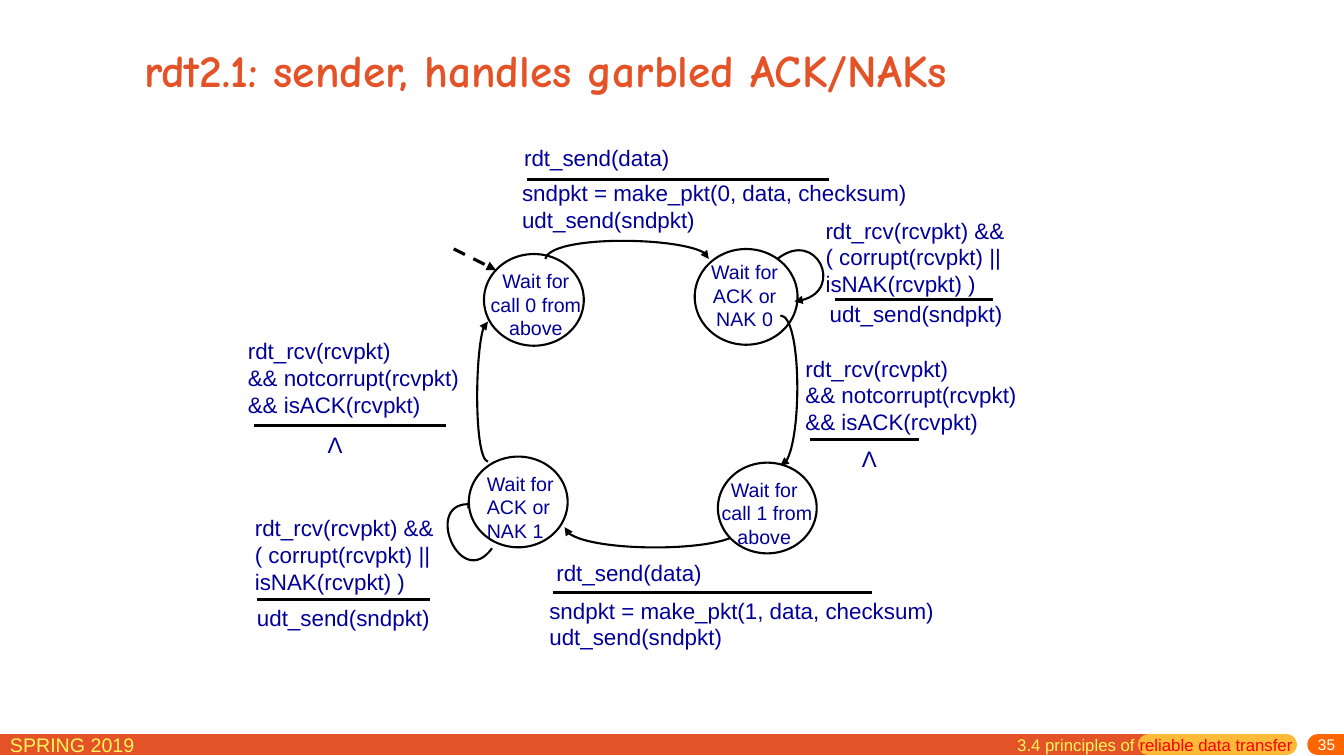
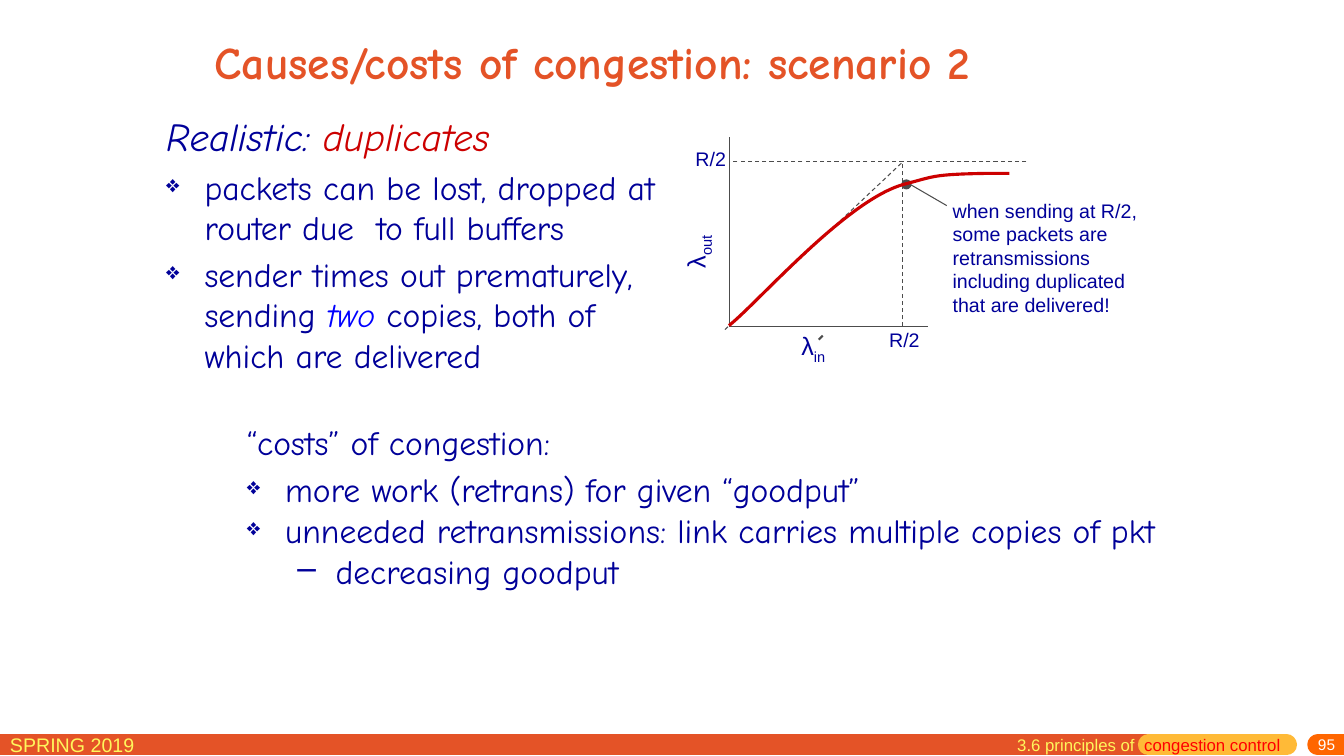
from pptx import Presentation
from pptx.dml.color import RGBColor
from pptx.enum.dml import MSO_LINE
from pptx.enum.shapes import MSO_CONNECTOR, MSO_SHAPE
from pptx.enum.text import MSO_ANCHOR, MSO_AUTO_SIZE, PP_ALIGN
from pptx.oxml.ns import qn
from pptx.oxml.xmlchemy import OxmlElement
from pptx.util import Inches, Pt

STRAIGHT = MSO_CONNECTOR.STRAIGHT
OVAL = MSO_SHAPE.OVAL
DASH = MSO_LINE.DASH
LEFT, CENTER, RIGHT = PP_ALIGN.LEFT, PP_ALIGN.CENTER, PP_ALIGN.RIGHT
MIDDLE = MSO_ANCHOR.MIDDLE
NO_AUTOFIT = MSO_AUTO_SIZE.NONE

BODY_FONT, HAND_FONT = "Arial", "Comic Neue"
ORANGE, AMBER, DEEP_ORANGE = "E45327", "FFBA37", "FF6600"
YELLOW, RED, CRIMSON = "FFF65C", "FF0000", "CC0000"
NAVY, BLUE, GRAY = "000099", "0000FF", "4C4C4C"
BLACK, WHITE = "000000", "FFFFFF"
BAND_Y = 7.39
TITLE_ONLY = 5

ACKED = ["rdt_rcv(rcvpkt)", "&& notcorrupt(rcvpkt)", "&& isACK(rcvpkt)"]
GARBLED = ["rdt_rcv(rcvpkt) &&", "( corrupt(rcvpkt) ||", "isNAK(rcvpkt) )"]
SEND_AGAIN = ["udt_send(sndpkt)"]
SEND_DATA = ["rdt_send(data)"]
NOTHING = ["Λ"]


def rgb(color):
    return RGBColor.from_string(color)


def style_font(font, size=None, color=None, name=None, bold=None, italic=None):
    if size:
        font.size = Pt(size)
    if color:
        font.color.rgb = rgb(color)
    if name:
        font.name = name
    if bold is not None:
        font.bold = bold
    if italic is not None:
        font.italic = italic


def add_child(parent, tag, **attributes):
    child = OxmlElement(tag)
    for key, value in attributes.items():
        child.set(key, value)
    parent.append(child)
    return child


def style_line(shape, color, width, dash=False, arrow=False, cap=None):
    shape.line.color.rgb = rgb(color)
    shape.line.width = Pt(width)
    if dash:
        shape.line.dash_style = DASH
    outline = shape._element.spPr.find(qn("a:ln"))
    if cap:
        outline.set("cap", cap)
    if arrow:
        add_child(outline, "a:tailEnd", type="triangle")


def add_line(page, start, end, color=BLACK, width=2.25, **options):
    line = page.shapes.add_connector(
        STRAIGHT, *[Inches(value) for value in (*start, *end)])
    style_line(line, color, width, **options)
    add_child(line._element.spPr, "a:effectLst")


def add_curve(page, points, color=BLACK, width=1.5, arrow=False):
    places = [(Inches(x), Inches(y)) for x, y in points]
    builder = page.shapes.build_freeform(*places[0])
    builder.add_line_segments(places[1:], close=False)
    curve = builder.convert_to_shape()
    outline = curve._element.spPr.find(".//" + qn("a:path"))
    segments = outline.findall(qn("a:lnTo"))
    for first in range(0, len(segments), 3):
        bezier = add_child(outline, "a:cubicBezTo")
        for segment in segments[first:first + 3]:
            bezier.append(segment[0])
            outline.remove(segment)
    curve.fill.background()
    curve.shadow.inherit = False
    style_line(curve, color, width, arrow=arrow)


def add_oval(page, place, fill, outlined=True):
    oval = page.shapes.add_shape(OVAL, *[Inches(value) for value in place])
    oval.fill.solid()
    oval.fill.fore_color.rgb = rgb(fill)
    oval.shadow.inherit = False
    if outlined:
        style_line(oval, BLACK, 1.5)
    else:
        oval.line.fill.background()


def add_box(page, place, wrap=True):
    box = page.shapes.add_textbox(*[Inches(value) for value in place])
    box.text_frame.word_wrap = wrap
    return box


def fill_paragraph(para, spans, size, color=NAVY, name=BODY_FONT, align=LEFT):
    para.alignment = align
    style_font(para.font, size, color, name)
    for text, changes in spans:
        span = para.add_run()
        span.text = text
        style_font(span.font, **changes)


def add_text(page, place, lines, size=16, color=NAVY, align=LEFT, wrap=True):
    box = add_box(page, place, wrap)
    frame = box.text_frame
    for index, line in enumerate(lines):
        para = frame.add_paragraph() if index else frame.paragraphs[0]
        fill_paragraph(para, [(line, {})], size, color, align=align)
    return box


def add_symbol(page, place, subscript):
    box = add_box(page, place, wrap=False)
    para = box.text_frame.paragraphs[0]
    fill_paragraph(para, [("λ", {}), (subscript, {})], 18)
    para.runs[1].font._element.set("baseline", "-25000")
    return box


def set_bullet(para, mark, percent, level):
    properties = para._p.get_or_add_pPr()
    properties.set("marL", str(Inches(0.38 + 0.5 * level)))
    properties.set("indent", str(Inches(-0.38)))
    color = add_child(properties, "a:buClr")
    add_child(color, "a:srgbClr", val=NAVY)
    add_child(properties, "a:buSzPct", val=str(percent * 1000))
    add_child(properties, "a:buChar", char=mark)


def add_outline(page, place, items):
    frame = add_box(page, place).text_frame
    for index, (mark, spacing, spans) in enumerate(items):
        para = frame.add_paragraph() if index else frame.paragraphs[0]
        if mark == "❖":
            set_bullet(para, mark, 70, 0)
        elif mark:
            para.level = 1
            set_bullet(para, mark, 100, 1)
        para.line_spacing = spacing
        if index:
            para.space_before = Pt(4.8)
        fill_paragraph(para, spans, 24, name=HAND_FONT)


def add_page(deck, title, place, number, topic, subject):
    page = deck.slides.add_slide(deck.slide_layouts[TITLE_ONLY])
    heading = page.shapes.title
    heading.left, heading.top, heading.width, heading.height = [
        Inches(value) for value in place]
    heading.text_frame.text = title
    heading.text_frame.auto_size = NO_AUTOFIT
    heading.text_frame.vertical_anchor = MIDDLE
    para = heading.text_frame.paragraphs[0]
    para.alignment = LEFT
    style_font(para.font, 32.4, ORANGE, HAND_FONT, bold=True)

    for left, right, color, cap in [
        (0, 11.39, ORANGE, "flat"),
        (11.39, 12.76, AMBER, "rnd"),
        (13.07, 13.33, DEEP_ORANGE, "rnd"),
    ]:
        add_line(page, (left, BAND_Y), (right, BAND_Y), color, 15, cap=cap)
    add_text(page, (0, 7.22, 2.29, 0.31), ["SPRING 2019"], 14, YELLOW)
    box = add_text(page, (10.75, 7.32, 2.59, 0.18), [number], 11, WHITE, RIGHT)
    box.text_frame.vertical_anchor = MIDDLE
    box.text_frame.margin_top = 0
    section = add_box(page, (9.99, 7.24, 3.11, 0.31))
    spans = [(topic, {}), (subject, {"color": RED})]
    fill_paragraph(section.text_frame.paragraphs[0], spans, 12, YELLOW)
    return page


def add_state(page, oval, place, lines, align=CENTER):
    add_oval(page, oval, WHITE)
    add_text(page, place, lines, 14, align=align)


def add_rule(page, left, right, y):
    add_line(page, (left, y), (right, y))


def build_sender(deck):
    page = add_page(
        deck, "rdt2.1: sender, handles garbled ACK/NAKs",
        (1.33, 0.15, 9.75, 1.07), "35",
        "3.4 principles of ", "reliable data transfer")

    add_state(page, (4.8, 2.52, 0.99, 0.91), (4.72, 2.62, 1.19, 0.67),
              ["Wait for call 0 from above"])
    add_state(page, (6.89, 2.47, 1.02, 0.95), (6.79, 2.53, 1.19, 0.71),
              ["Wait for ACK or NAK 0"])

    add_line(page, (4.5, 2.47), (4.92, 2.68), dash=True, arrow=True)
    for points in [
        [(5.41, 2.57), (5.45, 2.33), (7.03, 2.35), (7.03, 2.57)],
        [(7.71, 2.57), (8.1, 2.26), (8.41, 2.94), (7.88, 2.99)],
        [(7.74, 3.13), (7.95, 3.13), (7.96, 4.59), (7.74, 4.62)],
        [(7.36, 5.23), (7.36, 5.48), (5.64, 5.5), (5.6, 5.23)],
        [(4.88, 5.44), (4.57, 5.87), (4.16, 4.91), (4.72, 5.01)],
        [(4.84, 4.58), (4.7, 4.55), (4.71, 3.19), (4.84, 3.19)],
    ]:
        add_curve(page, points, arrow=True)

    add_state(page, (7.12, 4.59, 0.98, 0.9), (6.97, 4.69, 1.22, 0.67),
              ["Wait for", " call 1 from above"])
    add_state(page, (4.65, 4.53, 0.98, 0.9), (4.73, 4.63, 1.14, 0.67),
              ["Wait for ACK or NAK 1"], LEFT)

    for place, lines in [
        ((5.1, 1.38, 2.31, 0.33), SEND_DATA),
        ((5.08, 1.73, 4.04, 0.44),
         ["sndpkt = make_pkt(0, data, checksum)", *SEND_AGAIN]),
        ((8.09, 2.1, 2.8, 0.62), GARBLED),
        ((8.13, 2.93, 2.47, 0.44), SEND_AGAIN),
        ((7.89, 3.47, 3.28, 0.62), ACKED),
        ((5.42, 5.5, 2.61, 0.31), SEND_DATA),
        ((5.35, 5.87, 4.12, 0.44),
         ["sndpkt = make_pkt(1, data, checksum)", *SEND_AGAIN]),
        ((2.43, 5.05, 2.2, 0.62), GARBLED),
        ((2.45, 5.94, 1.99, 0.3), SEND_AGAIN),
        ((2.36, 3.3, 2.31, 0.62), ACKED),
    ]:
        add_text(page, place, lines)
    for left, top in [(8.45, 4.37), (3.15, 4.23)]:
        add_text(page, (left, top, 0.35, 0.37), NOTHING, wrap=False)
    for left, right, y in [
        (5.23, 8.22, 1.78), (8.28, 9.85, 2.97), (8.03, 9.12, 4.36),
        (5.48, 8.65, 5.88), (2.55, 4.26, 5.95), (2.52, 4.42, 4.22),
    ]:
        add_rule(page, left, right, y)


def add_throughput_plot(page):
    for start, end, dash in [
        ((7.24, 1.36), (7.24, 3.24), False),
        ((7.23, 3.24), (9.2, 3.24), False),
        ((10.18, 1.6), (7.23, 1.6), True),
        ((7.19, 3.27), (8.96, 1.6), True),
        ((8.95, 3.24), (8.95, 1.62), True),
    ]:
        add_line(page, start, end, GRAY, 0.75, dash=dash)
    add_oval(page, (8.94, 1.78, 0.1, 0.1), GRAY, outlined=False)
    add_line(page, (9.39, 2.04), (8.96, 1.79), GRAY, 0.75, arrow=True)
    add_curve(page, [
        (7.23, 3.23), (7.52, 3), (8.39, 1.99), (8.96, 1.83),
        (9.27, 1.75), (9.24, 1.73), (9.78, 1.72),
        (10, 1.72), (9.96, 1.72), (10.01, 1.72),
    ], CRIMSON, 2.25)
    for left, top in [(6.8, 1.41), (8.72, 3.2)]:
        add_text(page, (left, top, 0.5, 0.33), ["R/2"], 14, wrap=False)
    add_symbol(page, (6.56, 2.22, 0.68, 0.4), "out").rotation = 270
    add_symbol(page, (7.85, 3.23, 0.47, 0.4), "in")
    add_line(page, (8.12, 3.37), (8.16, 3.33), GRAY, 1.5)
    add_text(page, (9.35, 1.92, 2.06, 1.28), [
        "when sending at R/2, some packets are retransmissions "
        "including duplicated that are delivered!"], 14)


def build_congestion(deck):
    page = add_page(
        deck, "Causes/costs of congestion: scenario 2",
        (2.03, 0.13, 8.73, 0.95), "95",
        "3.6 principles of  ", "congestion control")
    add_throughput_plot(page)
    add_outline(page, (1.55, 1.14, 5.29, 2.85), [
        (None, 0.85, [
            ("Realistic: ", {"size": 28, "italic": True}),
            ("duplicates", {"size": 28, "italic": True, "color": CRIMSON})]),
        ("❖", 1.0, [
            ("packets can be lost, dropped at router due  to full buffers", {})]),
        ("❖", 1.0, [
            ("sender times out prematurely, sending ", {}),
            ("two ", {"color": BLUE, "italic": True}),
            ("copies, both of which are delivered", {})]),
    ])
    add_outline(page, (2.35, 4.2, 9.35, 2.6), [
        (None, 0.85, [("“costs” of congestion:", {})]),
        ("❖", 1.0, [("more work (retrans) for given “goodput”", {})]),
        ("❖", 0.85, [(
            "unneeded retransmissions: link carries multiple copies of pkt", {})]),
        ("–", 0.85, [("decreasing goodput", {})]),
    ])


def main():
    deck = Presentation()
    deck.slide_width, deck.slide_height = Inches(13.33), Inches(7.5)
    build_sender(deck)
    build_congestion(deck)
    deck.save("out.pptx")


if __name__ == "__main__":
    main()
